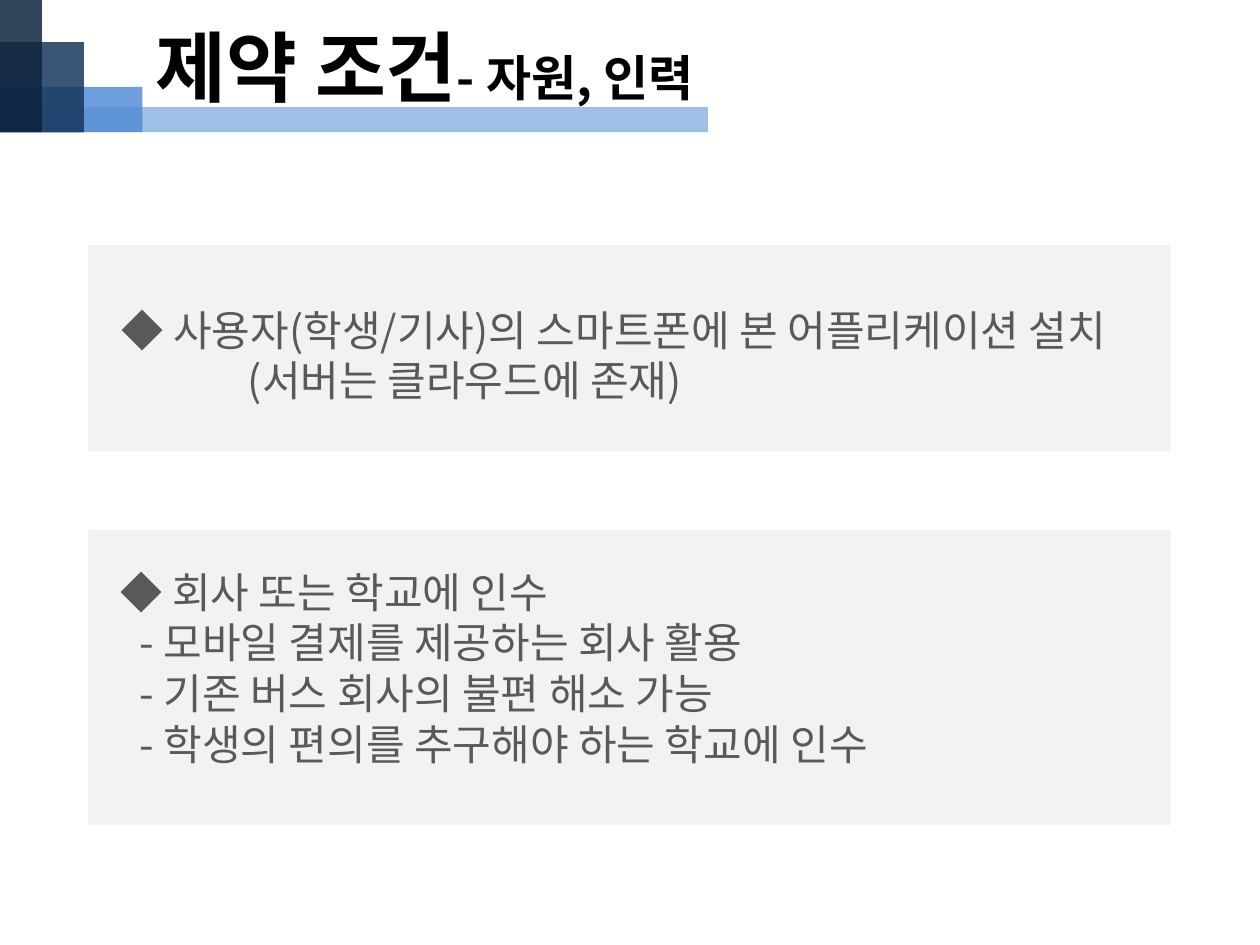
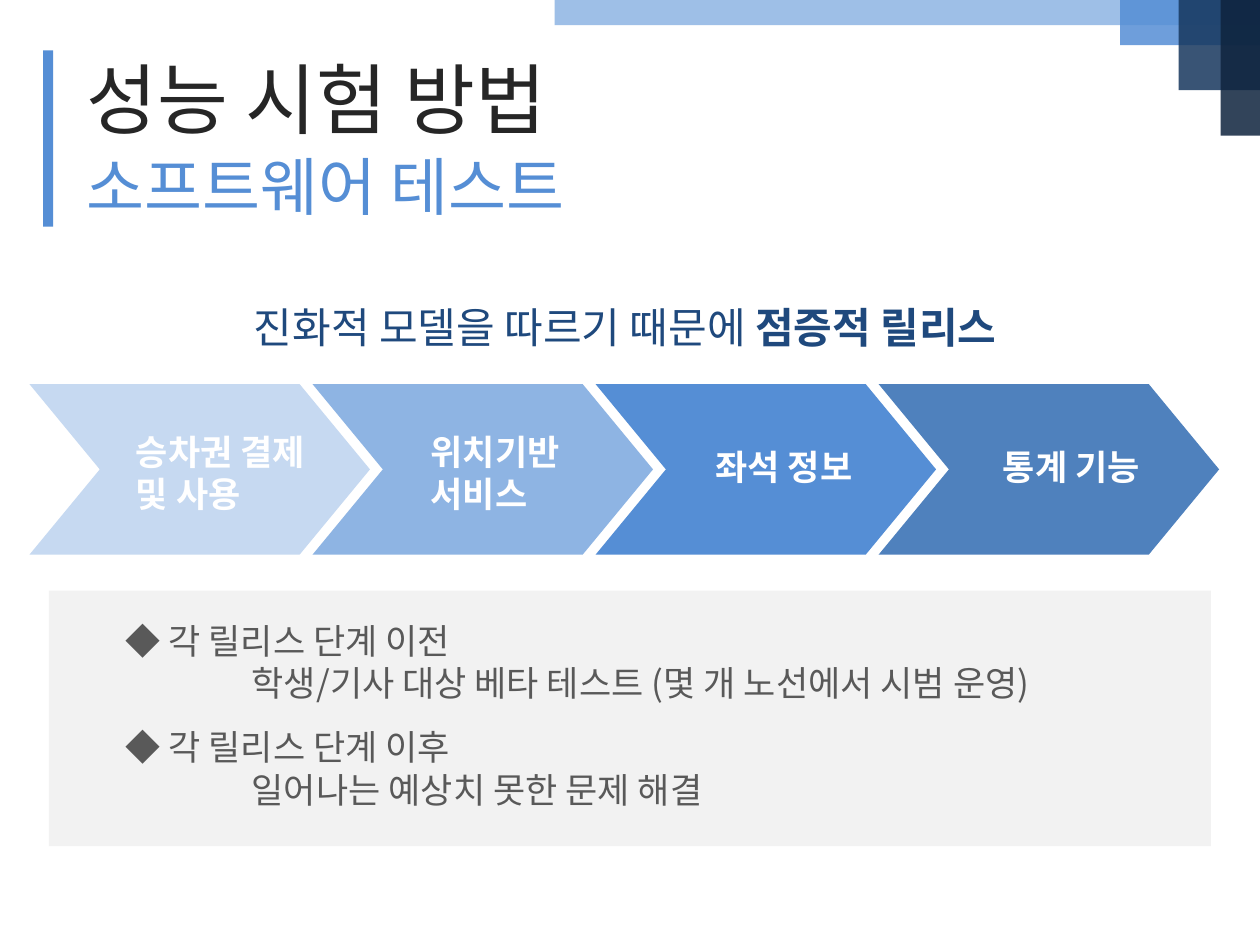
from dataclasses import dataclass

from lxml import etree
from pptx import Presentation
from pptx import util as u
from pptx.dml import color
from pptx.enum import shapes, text
from pptx.oxml import ns

# Shared look
FONT = "Noto Sans CJK KR"
LINE_HEIGHT = 1.21
SLIDE_WIDTH, SLIDE_HEIGHT = 720, 540
BLACK, INK, GREY, WHITE = "000000", "262626", "595959", "FFFFFF"
PANEL, LIGHT, SKY, BLUE = "F2F2F2", "C6D9F1", "8EB4E3", "558ED5"
STEEL, DEEP, NAVY, MIDNIGHT = "4F81BD", "1F497D", "17375E", "0F243E"


@dataclass(frozen=True)
class Box:
    left: float
    top: float
    width: float
    height: float

    def lengths(self) -> list:
        return [u.Pt(v) for v in (self.left, self.top, self.width, self.height)]


@dataclass(frozen=True)
class Run:
    text: str
    size: float
    bold: bool = False


@dataclass(frozen=True)
class Line:
    runs: tuple
    indent: float = 0
    space_before: float = 0


@dataclass(frozen=True)
class Band:
    width: float
    height: float
    fill: str


@dataclass(frozen=True)
class Step:
    lines: tuple
    fill: str
    text_left: float
    text_top: float


# Overlapping corner bands, from back to front
BANDS = (
    Band(404.6, 14.4, SKY),
    Band(81.4, 25.9, BLUE),
    Band(48, 51.5, NAVY),
    Band(24, 77.5, MIDNIGHT),
)


def rgb(value: str) -> color.RGBColor:
    return color.RGBColor.from_string(value)


def paint(shape, fill: str, opacity: int = 100) -> None:
    shape.shadow.inherit = False
    shape.fill.solid()
    shape.fill.fore_color.rgb = rgb(fill)
    shape.line.fill.background()
    if opacity < 100:
        solid = shape.fill._xPr.find(ns.qn("a:solidFill"))
        etree.SubElement(solid[0], ns.qn("a:alpha"), val=str(opacity * 1000))


def add_rectangle(slide, box: Box, fill: str, opacity: int = 100) -> None:
    shape = slide.shapes.add_shape(shapes.MSO_SHAPE.RECTANGLE, *box.lengths())
    paint(shape, fill, opacity)


def add_text(slide, box: Box, lines, ink: str, align=text.PP_ALIGN.LEFT) -> None:
    text_frame = slide.shapes.add_textbox(*box.lengths()).text_frame
    text_frame.word_wrap = True
    for index, line in enumerate(lines):
        paragraph = text_frame.paragraphs[0] if index == 0 else text_frame.add_paragraph()
        paragraph.alignment = align
        paragraph.line_spacing = u.Pt(LINE_HEIGHT * max(run.size for run in line.runs))
        paragraph.space_before = u.Pt(line.space_before)
        paragraph._p.get_or_add_pPr().set("marL", str(u.Pt(line.indent)))
        for item in line.runs:
            run = paragraph.add_run()
            run.text = item.text
            run.font.size = u.Pt(item.size)
            run.font.bold = item.bold
            run.font.name = FONT
            run.font.color.rgb = rgb(ink)
            east_asian = etree.SubElement(run.font._element, ns.qn("a:ea"))
            east_asian.set("typeface", FONT)


def add_bands(slide, right: bool) -> None:
    """Bands hang from the top right corner or stand on a line at top left."""
    for band in BANDS:
        left = 721.5 - band.width if right else 0
        top = 0 if right else 75.6 - band.height
        add_rectangle(slide, Box(left, top, band.width, band.height), band.fill, 85)


def add_chevron(slide, box: Box, notch: float, fill: str) -> None:
    right, bottom = box.left + box.width, box.top + box.height
    middle = box.top + box.height / 2
    points = [
        (box.left, box.top),
        (box.left + notch, middle),
        (box.left, bottom),
        (right - notch, bottom),
        (right, middle),
    ]
    builder = slide.shapes.build_freeform(u.Pt(right - notch), u.Pt(box.top))
    # Drawn anticlockwise from the upper shoulder
    builder.add_line_segments([(u.Pt(x), u.Pt(y)) for x, y in points], close=True)
    paint(builder.convert_to_shape(), fill)


def plain(content: str, size: float, indent: float = 0, space_before: float = 0) -> Line:
    return Line((Run(content, size),), indent, space_before)


def build_constraints(slide) -> None:
    # Panels
    for top, height in ((140, 118), (303, 168.5)):
        add_rectangle(slide, Box(50.5, top, 618.5, height), PANEL)

    # Bands and title
    add_bands(slide, right=False)
    title = Line((Run("제약 조건", 44, True), Run("- 자원, 인력", 28, True)))
    add_text(slide, Box(82, 7.2, 582, 114), [title], BLACK)

    # Resources
    resources = [
        plain("◆ 사용자(학생/기사)의 스마트폰에 본 어플리케이션 설치", 24),
        plain("(서버는 클라우드에 존재)", 24, indent=72),
    ]
    add_text(slide, Box(62.6, 170, 652, 65.5), resources, GREY)

    # People
    details = (
        "- 모바일 결제를 제공하는 회사 활용",
        "- 기존 버스 회사의 불편 해소 가능",
        "- 학생의 편의를 추구해야 하는 학교에 인수",
    )
    people = [plain("◆ 회사 또는 학교에 인수", 24)]
    people += [plain(detail, 24, indent=10.75) for detail in details]
    add_text(slide, Box(62, 319.7, 585, 152.6), people, GREY)


def build_testing(slide) -> None:
    # Panel, accent bar and titles
    add_rectangle(slide, Box(28, 337.5, 664, 146), PANEL)
    add_rectangle(slide, Box(24.6, 28.8, 5.8, 100.8), BLUE)
    add_text(slide, Box(42.5, 25.2, 351, 60.5), [plain("성능 시험 방법", 44)], INK)
    add_text(slide, Box(42.5, 80.6, 318, 51), [plain("소프트웨어 테스트", 36)], BLUE)
    add_bands(slide, right=True)

    # Lead sentence
    lead = Line((Run("진화적 모델을 따르기 때문에 ", 24), Run("점증적 릴리스", 24, True)))
    add_text(slide, Box(64.8, 168.5, 585, 36.5), [lead], DEEP, text.PP_ALIGN.CENTER)

    # Release steps
    steps = (
        Step(("승차권 결제", "및 사용"), LIGHT, 70.6, 242),
        Step(("위치기반", "서비스"), SKY, 239, 242),
        Step(("좌석 정보",), BLUE, 401.8, 250.6),
        Step(("통계 기능",), STEEL, 566, 250.6),
    )
    for index, step in enumerate(steps):
        chevron = Box(16.8 + index * 161.75, 219.5, 194.6, 97.5)
        add_chevron(slide, chevron, 40.2, step.fill)
    for step in steps:
        lines = [Line((Run(label, 20, True),)) for label in step.lines]
        height = 7.2 + 24.2 * len(lines)
        add_text(slide, Box(step.text_left, step.text_top, 140.4, height), lines, WHITE)

    # Work before and after each release
    work = [
        plain("◆ 각 릴리스 단계 이전", 20),
        plain("학생/기사 대상 베타 테스트 (몇 개 노선에서 시범 운영)", 20, indent=72),
        plain("◆ 각 릴리스 단계 이후", 20, space_before=12.6),
        plain("일어나는 예상치 못한 문제 해결", 20, indent=72),
    ]
    add_text(slide, Box(64.8, 350, 585, 117), work, GREY)


def main() -> None:
    presentation = Presentation()
    presentation.slide_width = u.Pt(SLIDE_WIDTH)
    presentation.slide_height = u.Pt(SLIDE_HEIGHT)
    blank = presentation.slide_layouts[6]
    for build in (build_constraints, build_testing):
        build(presentation.slides.add_slide(blank))
    presentation.save("out.pptx")


main()
